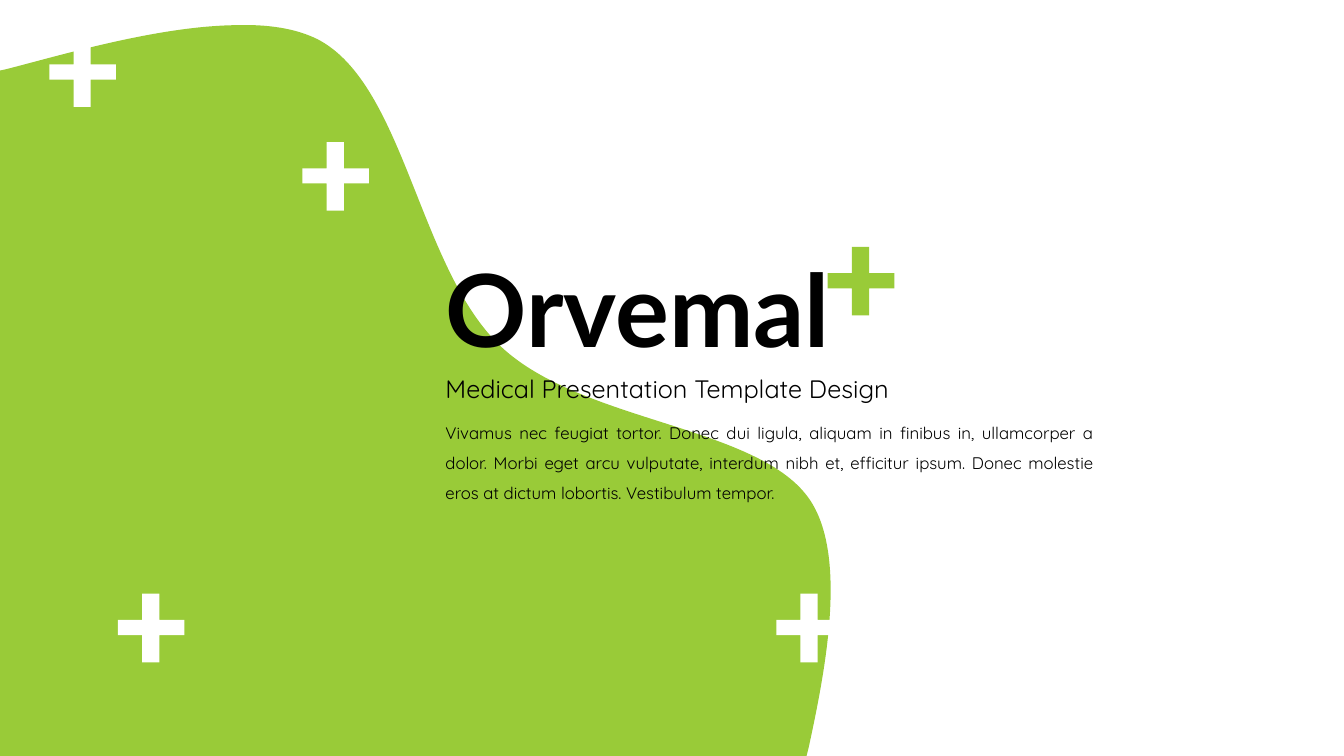
"""Builds the cover slide: a green wave, five crosses and the title text."""
from lxml.etree import SubElement
from pptx import Presentation
from pptx.dml.color import RGBColor
from pptx.enum.text import MSO_ANCHOR, PP_ALIGN
from pptx.oxml.ns import qn
from pptx.util import Inches, Pt

GREEN, WHITE, BLACK = "99CB38", "FFFFFF", "000000"
START = (2.34, 0.25)
WAVE = [
    [(1.56, 0.26), (0.6, 0.55), (0.05, 0.69)],
    [(0, 0.7)],
    [(0, 7.5)],
    [(8, 7.5)],
    [(8.02, 7.42)],
    [(8.18, 6.68), (8.41, 5.54), (8.04, 4.97)],
    [(7.55, 4.22), (5.78, 4.2), (4.97, 3.44)],
    [(4.15, 2.67), (4.02, 0.84), (3.15, 0.39)],
    [(2.93, 0.28), (2.65, 0.24), START],
]
WIDTH = 8.24
X1, X2, X3 = 0.24, 0.41, 0.66
Y1, Y2, Y3 = 0.26, 0.41, 0.68
CROSS = [(X1, 0), (X2, 0), (X2, Y1), (X3, Y1), (X3, Y2), (X2, Y2),
         (X2, Y3), (X1, Y3), (X1, Y2), (0, Y2), (0, Y1), (X1, Y1)]
MARKS = [(8.21, 2.45, GREEN), (3, 1.41, WHITE), (1.17, 5.89, WHITE),
         (0.49, 0.38, WHITE), (7.7, 5.89, WHITE)]
BODY = (
    "Vivamus nec feugiat tortor. Donec dui ligula, aliquam in finibus in, "
    "ullamcorper a dolor. Morbi eget arcu vulputate, interdum nibh et, "
    "efficitur ipsum. Donec molestie eros at dictum lobortis. Vestibulum tempor."
)
TEXTS = [
    ("Medical Presentation Template Design", (4.32, 3.65, 5.08, 0.4),
     {"name": "Quicksand", "size": Pt(18)}, {}, MSO_ANCHOR.TOP),
    (BODY, (4.32, 4.04, 6.63, 1.01), {"name": "Quicksand", "size": Pt(12)},
     {"alignment": PP_ALIGN.JUSTIFY, "line_spacing": 1.5}, MSO_ANCHOR.TOP),
    ("Orvemal", (4.32, 2.4, 9, 1.45),
     {"name": "Lato", "size": Pt(72), "bold": True},
     {"line_spacing": 0.9}, MSO_ANCHOR.MIDDLE),
]


def paint(fmt, color):
    fmt.solid()
    fmt.fore_color.rgb = RGBColor.from_string(color)


def apply(item, values):
    for key, value in values.items():
        setattr(item, key, value)


def outline(slide, points, color):
    spots = [(Inches(x), Inches(y)) for x, y in points]
    pen = slide.shapes.build_freeform(*spots[0])
    pen.add_line_segments(spots[1:], close=True)
    shape = pen.convert_to_shape()
    shape.shadow.inherit = False
    shape.line.fill.background()
    paint(shape.fill, color)
    return shape


def add_wave(slide):
    points = [START] + [point for part in WAVE for point in part]
    shape = outline(slide, points, GREEN)
    track = next(shape.element.iter(qn("a:path")))
    steps = iter(track.findall(qn("a:lnTo")))
    for part in WAVE:
        nodes = [next(steps) for point in part]
        if len(nodes) == 3:
            curve = SubElement(track, qn("a:cubicBezTo"))
            nodes[0].addprevious(curve)
            for node in nodes:
                curve.append(node[0])
                track.remove(node)
    shape.width = Inches(WIDTH)
    track.set("w", str(Inches(WIDTH)))


def add_text(slide, text, spot, font, para, anchor):
    frame = slide.shapes.add_textbox(*map(Inches, spot)).text_frame
    apply(frame, {"word_wrap": True, "vertical_anchor": anchor, "text": text})
    line = frame.paragraphs[0]
    apply(line, para)
    run = line.runs[0]
    apply(run.font, font)
    paint(run.font.fill, BLACK)


def main():
    deck = Presentation()
    apply(deck, {"slide_width": Inches(13.33), "slide_height": Inches(7.5)})
    slide = deck.slides.add_slide(deck.slide_layouts[6])
    paint(slide.background.fill, WHITE)
    add_wave(slide)
    for left, top, color in MARKS:
        outline(slide, [(left + x, top + y) for x, y in CROSS], color)
    for row in TEXTS:
        add_text(slide, *row)
    deck.save("out.pptx")


if __name__ == "__main__":
    main()
